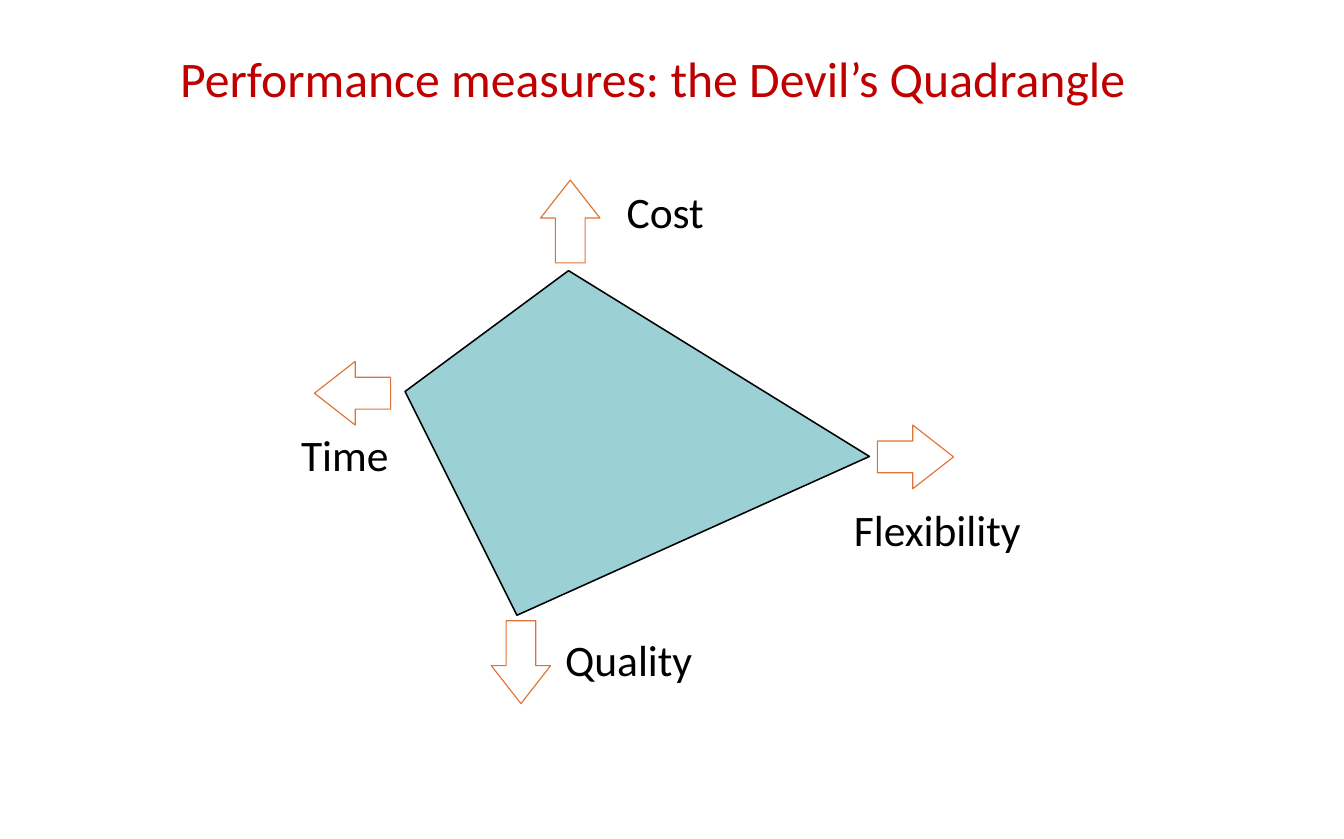
"""Draw the Devil's Quadrangle of performance measures."""
from pptx import Presentation
from pptx.dml.color import RGBColor
from pptx.enum.shapes import MSO_SHAPE
from pptx.util import Pt

COLORS = {"title": "C00000", "text": "000000", "area": "9BD0D5",
          "edge": "000000", "arrow": "DF7336"}


class Slide:
    def __init__(self, prs, font="Calibri"):
        self.s = prs.slides.add_slide(prs.slide_layouts[6])
        self.font = font

    def color(self, name):
        return RGBColor.from_string(COLORS[name])

    def outline(self, sp, color, width):
        sp.shadow.inherit = False
        sp.line.color.rgb = self.color(color)
        sp.line.width = Pt(width)

    def text(self, text, x, y, w, h, size=28, color="text"):
        tf = self.s.shapes.add_textbox(Pt(x), Pt(y), Pt(w), Pt(h)).text_frame
        tf.word_wrap = True
        tf.margin_left = tf.margin_right = tf.margin_bottom = 0
        tf.margin_top = Pt(1)
        r = tf.paragraphs[0].add_run()
        r.text = text
        r.font.name = self.font
        r.font.size = Pt(size)
        r.font.color.rgb = self.color(color)

    def polygon(self, points):
        start, *rest = [(Pt(x), Pt(y)) for x, y in points]
        builder = self.s.shapes.build_freeform(*start)
        builder.add_line_segments(rest, close=True)
        sp = builder.convert_to_shape()
        sp.fill.solid()
        sp.fill.fore_color.rgb = self.color("area")
        self.outline(sp, "edge", 1)

    def arrow(self, kind, x, y, w, h):
        sp = self.s.shapes.add_shape(kind, Pt(x), Pt(y), Pt(w), Pt(h))
        sp.adjustments[0] = 0.5
        sp.adjustments[1] = 0.64
        sp.fill.background()
        self.outline(sp, "arrow", 0.75)


def main():
    prs = Presentation()
    prs.slide_width, prs.slide_height = Pt(864.72), Pt(540)
    slide = Slide(prs)

    slide.polygon([(365.8, 174.2), (260.6, 252), (332.6, 396), (559.4, 293.8)])

    upright, sideways = (38.2, 53.3), (49, 41)
    for kind, x, y, size in [
        (MSO_SHAPE.DOWN_ARROW, 316.1, 399.6, upright),
        (MSO_SHAPE.UP_ARROW, 347.8, 115.9, upright),
        (MSO_SHAPE.LEFT_ARROW, 202.3, 232.6, sideways),
        (MSO_SHAPE.RIGHT_ARROW, 564.5, 273.6, sideways),
    ]:
        slide.arrow(kind, x, y, *size)

    for label, x, y, w in [
        ("Cost", 403.2, 118.1, 58),
        ("Flexibility", 549.4, 322.6, 115),
        ("Quality", 363.6, 406.4, 90),
        ("Time", 193.7, 274.3, 62),
    ]:
        slide.text(label, x, y, w, 35.3)

    slide.text("Performance measures: the Devil’s Quadrangle",
               115.9, 29.5, 625, 40.3, size=32, color="title")

    prs.save("out.pptx")


if __name__ == "__main__":
    main()
